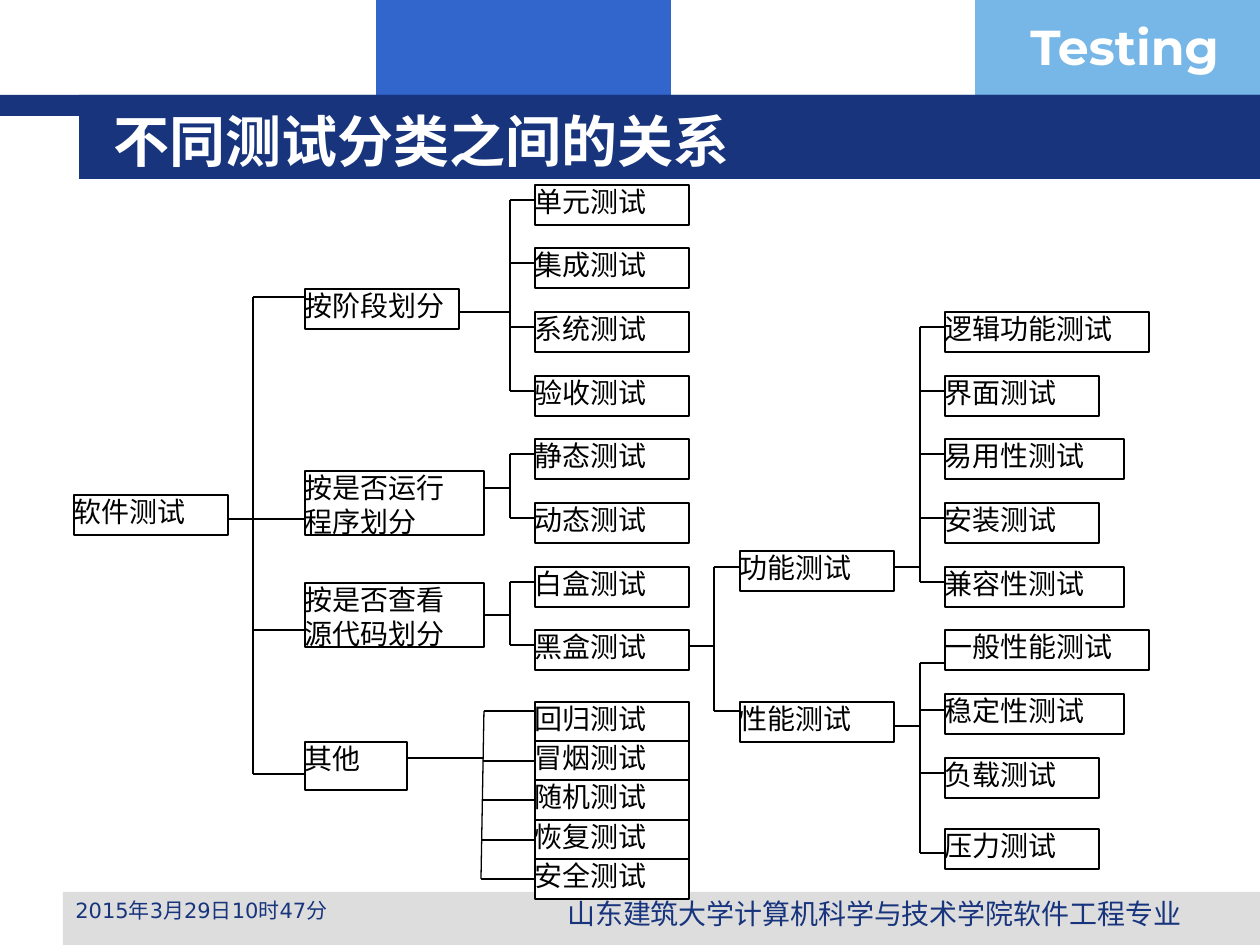
import pptx
import pptx.util
import pptx.dml.color
import pptx.enum.shapes
import pptx.enum.text
import pptx.oxml.ns
import lxml.etree

HUES = {
    "navy": "17347D", "blue": "3366CC", "sky": "77B7E7",
    "grey": "DDDDDD", "white": "FFFFFF", "black": "000000",
}
ALIGN = pptx.enum.text.PP_ALIGN
ANCHOR = pptx.enum.text.MSO_ANCHOR


def px(*sizes):
    return [pptx.util.Emu(round(size * 914400 / 126)) for size in sizes]


def hue(name):
    return pptx.dml.color.RGBColor.from_string(HUES[name])


def block(slide, box, fill):
    shape = slide.shapes.add_shape(pptx.enum.shapes.MSO_SHAPE.RECTANGLE, *px(*box))
    shape.shadow.inherit = False
    shape.fill.solid()
    shape.fill.fore_color.rgb = hue(fill)
    shape.line.fill.background()
    return shape


def write(shape, text, size, font, color, align=ALIGN.LEFT, bold=False):
    frame = shape.text_frame
    frame.word_wrap = True
    frame.text = text
    for para in frame.paragraphs:
        para.alignment = align
        for run in para.runs:
            run.font.size = pptx.util.Pt(size)
            run.font.name = font
            run.font.bold = bold
            run.font.color.rgb = hue(color)


def label(slide, box, *style, anchor=ANCHOR.TOP, **extra):
    shape = slide.shapes.add_textbox(*px(*box))
    write(shape, *style, **extra)
    shape.text_frame.vertical_anchor = anchor


def wire(slide, *ends):
    line = slide.shapes.add_connector(pptx.enum.shapes.MSO_CONNECTOR.STRAIGHT, *px(*ends))
    line.line.color.rgb = hue("black")
    line.line.width = pptx.util.Pt(0.75)
    lxml.etree.SubElement(line._element.spPr, pptx.oxml.ns.qn("a:effectLst"))


def node(slide, x, y, wide, high, text):
    shape = block(slide, (x, y, wide, high), "white")
    shape.line.color.rgb = hue("black")
    shape.line.width = pptx.util.Pt(0.75)
    write(shape, text, 16, "Times New Roman", "black", ALIGN.JUSTIFY)
    frame = shape.text_frame
    frame.margin_left = frame.margin_right = frame.margin_top = frame.margin_bottom = 0
    frame.vertical_anchor = ANCHOR.TOP


def branch(slide, box, start, stem, trunk, edge, kids, lean=0):
    left, top = box[:2]
    joins = [y + join for _, _, y, join, _ in kids]
    first, last = joins[0], joins[-1]
    wire(slide, left + start, top + stem, left + trunk, top + stem)
    wire(slide, left + trunk, top + first, left + trunk - lean, top + last)
    for (text, wide, y, _, high), join in zip(kids, joins):
        node(slide, left + edge, top + y, wide, high, text)
        shift = round(lean * (join - first) / (last - first))
        wire(slide, left + trunk - shift, top + join, left + edge, top + join)


def row(step):
    return step * 191 // 3


def rows(first, *items):
    return [(text, wide, row(first + i), 15, 40) for i, (text, wide) in enumerate(items)]


def tree(slide, box):
    left, top = box[:2]
    node(slide, left, top + 310, 154, 40, "软件测试")
    branch(slide, box, 154, 334, 179, 231, [
        ("按阶段划分", 154, 104, 8, 40),
        ("按是否运行\n程序划分", 179, 286, 48, 64),
        ("按是否查看\n源代码划分", 179, 398, 47, 64),
        ("其他", 102, 557, 32, 48),
    ])
    stages = ["单元测试", "集成测试", "系统测试", "验收测试"]
    groups = [(385, 127, 0, stages),
              (410, 303, 4, ["静态测试", "动态测试"]),
              (410, 430, 6, ["白盒测试", "黑盒测试"])]
    for start, stem, first, names in groups:
        branch(slide, box, start, stem, 436, 461,
               rows(first, *[(name, 154) for name in names]))
    others = ["回归测试", "冒烟测试", "随机测试", "恢复测试", "安全测试"]
    branch(slide, box, 333, 573, 410, 461,
           [(name, 154, 517 + i * 197 // 5, 20 if i else 9, 40)
            for i, name in enumerate(others)], lean=3)
    branch(slide, box, 615, 461, 640, 666, [
        ("功能测试", 154, 366, 16, 40),
        ("性能测试", 154, 517, 9, 40),
    ])
    branch(slide, box, 819, 382, 846, 871, rows(
        2, ("逻辑功能测试", 204), ("界面测试", 154), ("易用性测试", 179),
        ("安装测试", 154), ("兼容性测试", 179)))
    branch(slide, box, 819, 541, 846, 871, [
        ("一般性能测试", 204, row(7), 33, 40),
        ("稳定性测试", 179, row(8), 16, 40),
        ("负载测试", 154, row(9), 15, 40),
        ("压力测试", 154, 644, 24, 40),
    ])


def header(slide, box):
    left, top, wide, high = box
    block(slide, (left + 376, top, 295, 116), "blue")
    block(slide, (left + 975, top, wide - 975, 116), "sky")
    block(slide, (left, top + 95, wide, 21), "navy")
    block(slide, (left + 79, top + 95, wide - 79, high - 95), "navy")
    label(slide, (left + 1018, top + 10, 242, 72), "Testing", 28, "Montserrat", "white", bold=True)
    label(slide, (left + 101, top + 101, 1124, 78), "不同测试分类之间的关系", 32,
          "DejaVu Sans", "white", anchor=ANCHOR.MIDDLE, bold=True)


def footer(slide, box):
    left, top, wide, high = box
    block(slide, box, "grey")
    label(slide, (left, top - 1, 378, 44), "2015年3月29日10时47分", 12, "DejaVu Sans", "navy")
    label(slide, (left + 449, top - 2, 725, 39), "山东建筑大学计算机科学与技术学院软件工程专业",
          16, "Arial", "navy", align=ALIGN.CENTER)


def main():
    deck = pptx.Presentation()
    deck.slide_width, deck.slide_height = px(1260, 945)
    slide = deck.slides.add_slide(deck.slide_layouts[6])
    header(slide, (0, 0, 1260, 179))
    footer(slide, (63, 892, 1197, 53))
    tree(slide, (74, 185, 1076, 715))
    deck.save("out.pptx")


if __name__ == "__main__":
    main()
